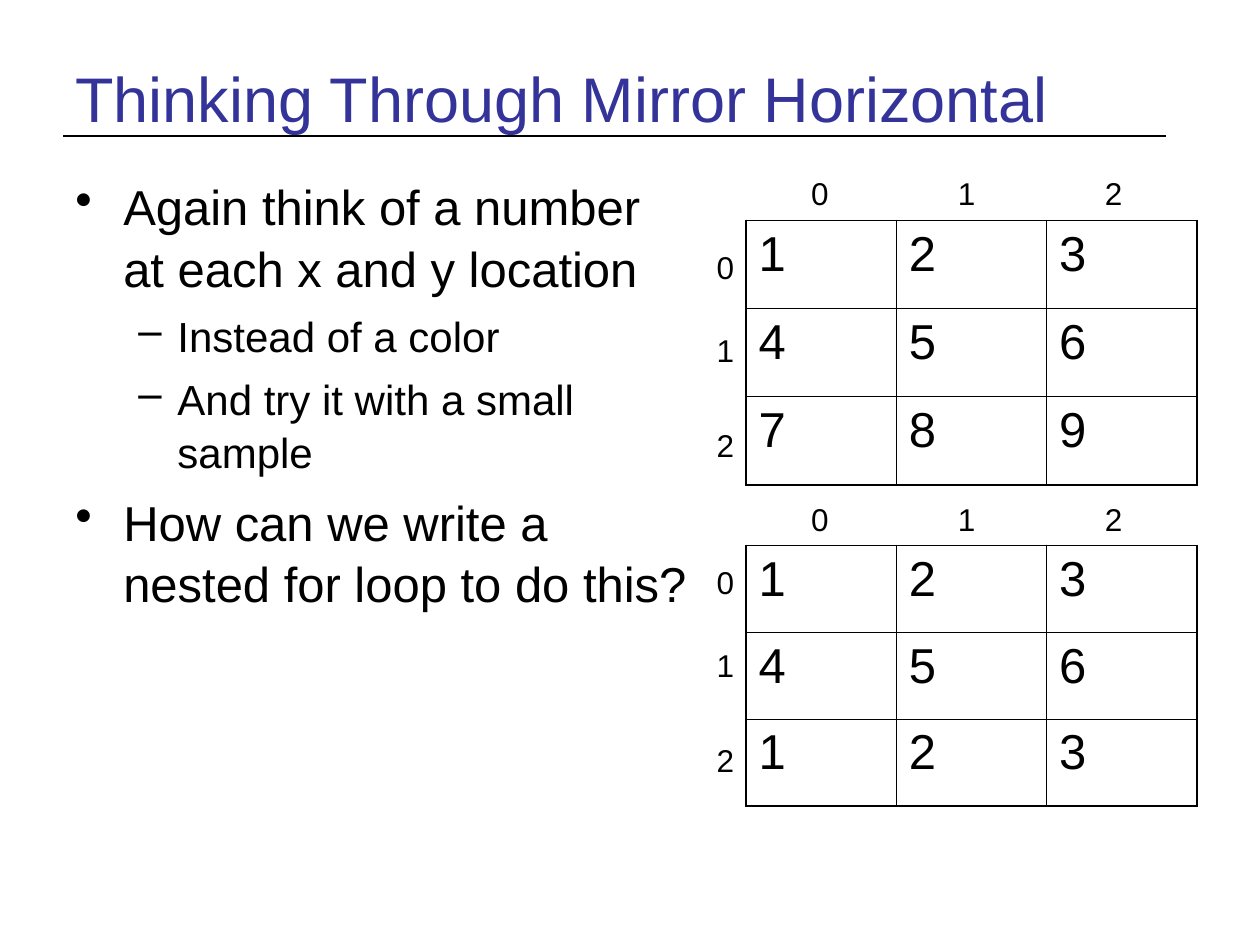
from dataclasses import dataclass

import pptx
import pptx.dml.color
import pptx.enum.shapes
import pptx.enum.text
import pptx.oxml
import pptx.oxml.ns
import pptx.util
from pptx.util import Inches

COLORS = {"title": "333399", "text": "000000", "line": "000000"}
FONT = "Arial"
NS = pptx.oxml.ns.nsdecls("a")


@dataclass
class Bullet:
    text: str
    level: int = 0


@dataclass
class BulletStyle:
    char: str
    size: int
    margin: float
    hanging: float
    before: int


@dataclass
class Grid:
    top: float
    row_height: float
    header_top: float
    row_label_top: float
    values: list[list[int]]


BULLETS = [
    Bullet("Again think of a number at each x and y location"),
    Bullet("Instead of a color", 1),
    Bullet("And try it with a small sample", 1),
    Bullet("How can we write a nested for loop to do this?"),
]
BULLET_STYLES = [
    BulletStyle("•", 28, 0.38, 0.38, 7),
    BulletStyle("–", 24, 0.81, 0.31, 6),
]
GRIDS = [
    Grid(1.75, 0.7, 1.33, 1.92, [[1, 2, 3], [4, 5, 6], [7, 8, 9]]),
    Grid(4.33, 0.69, 3.92, 4.42, [[1, 2, 3], [4, 5, 6], [1, 2, 3]]),
]
GRID_LEFT, GRID_WIDTH = 5.92, 3.58
ROW_LABEL_LEFT = 5.59
HEADER_LEFT, HEADER_PITCH = 6.34, 1.165
ROW_LABEL_OFFSETS = [0, 0.66, 1.41]
OUTER_BORDER, INNER_BORDER = 1.08, 0.45


def rgb(name: str) -> pptx.dml.color.RGBColor:
    return pptx.dml.color.RGBColor.from_string(COLORS[name])


def style_paragraph(p, size: int, color: str = "text") -> None:
    for r in p.runs:
        r.font.name = FONT
        r.font.size = pptx.util.Pt(size)
        r.font.color.rgb = rgb(color)


def add_text(s, text: str, left: float, top: float, width: float, height: float,
             size: int, color: str = "text", wrap: bool = False):
    tf = s.shapes.add_textbox(Inches(left), Inches(top), Inches(width), Inches(height)).text_frame
    tf.word_wrap = wrap
    tf.text = text
    style_paragraph(tf.paragraphs[0], size, color)
    return tf


def add_title(s) -> None:
    line = s.shapes.add_connector(pptx.enum.shapes.MSO_CONNECTOR.STRAIGHT,
                                  Inches(0.5), Inches(1.08), Inches(9.25), Inches(1.08))
    line.line.color.rgb = rgb("line")
    line.line.width = pptx.util.Pt(1.5)
    line._element.spPr.append(pptx.oxml.parse_xml(f"<a:effectLst {NS}/>"))
    tf = add_text(s, "Thinking Through Mirror Horizontal", 0.5, 0.3, 9, 0.95, 36, "title", True)
    tf.vertical_anchor = pptx.enum.text.MSO_ANCHOR.MIDDLE


def add_bullets(s, bullets: list[Bullet]) -> None:
    tf = s.shapes.add_textbox(Inches(0.5), Inches(1.33), Inches(5.08), Inches(5.37)).text_frame
    tf.word_wrap = True
    for i, bullet in enumerate(bullets):
        style = BULLET_STYLES[bullet.level]
        p = tf.paragraphs[0] if i == 0 else tf.add_paragraph()
        p.text = bullet.text
        p.level = bullet.level
        p.line_spacing = 1.05
        if i:
            p.space_before = pptx.util.Pt(style.before)
        pPr = p._p.get_or_add_pPr()
        pPr.set("marL", str(Inches(style.margin)))
        pPr.set("indent", str(-Inches(style.hanging)))
        pPr.append(pptx.oxml.parse_xml(
            f'<a:buClr {NS}><a:srgbClr val="{COLORS["text"]}"/></a:buClr>'))
        pPr.append(pptx.oxml.parse_xml(f'<a:buChar {NS} char="{style.char}"/>'))
        style_paragraph(p, style.size)


def set_borders(cell, row: int, col: int, last: int) -> None:
    outer_sides = {"lnL": col == 0, "lnR": col == last, "lnT": row == 0, "lnB": row == last}
    tcPr = cell._tc.get_or_add_tcPr()
    for i, (side, outer) in enumerate(outer_sides.items()):
        width = pptx.util.Pt(OUTER_BORDER if outer else INNER_BORDER)
        tcPr.insert(i, pptx.oxml.parse_xml(
            f'<a:{side} {NS} w="{width}"><a:solidFill>'
            f'<a:srgbClr val="{COLORS["line"]}"/></a:solidFill></a:{side}>'))


def add_grid(s, grid: Grid) -> None:
    n = len(grid.values)
    table = s.shapes.add_table(n, n, Inches(GRID_LEFT), Inches(grid.top),
                               Inches(GRID_WIDTH), Inches(n * grid.row_height)).table
    table.first_row = False
    table.horz_banding = False
    for row, values in enumerate(grid.values):
        for col, value in enumerate(values):
            cell = table.cell(row, col)
            cell.text_frame.text = str(value)
            style_paragraph(cell.text_frame.paragraphs[0], 28)
            cell.fill.background()
            set_borders(cell, row, col, n - 1)
    for i in range(n):
        add_text(s, str(i), HEADER_LEFT + i * HEADER_PITCH, grid.header_top, 0.34, 0.4, 18)
    for i, offset in enumerate(ROW_LABEL_OFFSETS):
        add_text(s, str(i), ROW_LABEL_LEFT, grid.row_label_top + offset, 0.34, 0.4, 18)


def main() -> None:
    prs = pptx.Presentation()
    prs.slide_width, prs.slide_height = Inches(10), Inches(7.5)
    s = prs.slides.add_slide(prs.slide_layouts[6])
    add_title(s)
    add_bullets(s, BULLETS)
    for grid in GRIDS:
        add_grid(s, grid)
    prs.save("out.pptx")


if __name__ == "__main__":
    main()
